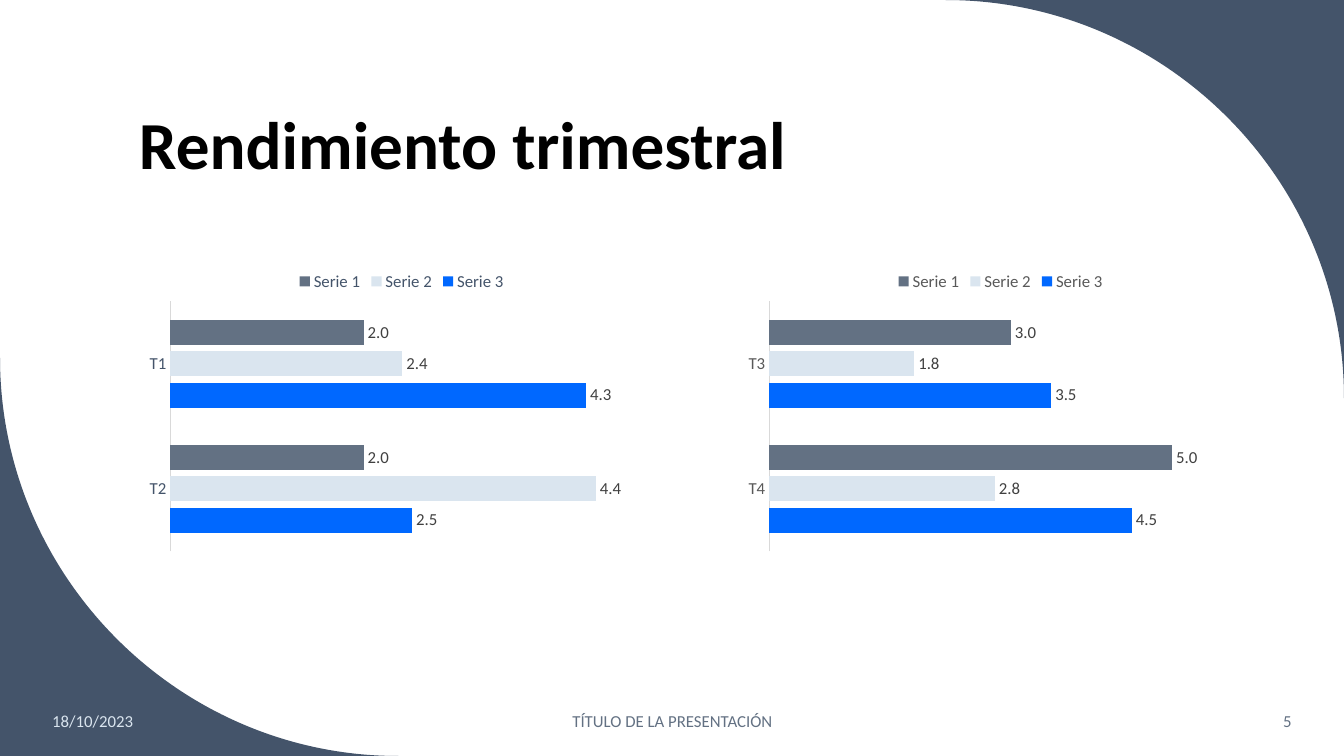
from lxml.etree import SubElement
from pptx import Presentation
from pptx.chart.data import CategoryChartData
from pptx.dml.color import RGBColor
from pptx.enum.chart import XL_CHART_TYPE as ChartType
from pptx.enum.chart import XL_LABEL_POSITION as LabelPosition
from pptx.enum.chart import XL_LEGEND_POSITION as LegendPosition
from pptx.enum.chart import XL_TICK_MARK as TickMark
from pptx.enum.text import MSO_ANCHOR as Anchor
from pptx.enum.text import PP_ALIGN as Align
from pptx.oxml.ns import qn
from pptx.util import Inches, Pt

FONT = "Calibri"
NAVY, SLATE, PALE, BLUE = "44546A", "637183", "DAE5EF", "0068FF"
RADIUS = 3.95
ARC_PULL = 0.55


def color(value):
    return RGBColor.from_string(value)


def style_font(font, size, value, bold=None):
    font.name = FONT
    font.size = Pt(size)
    font.bold = bold
    font.color.rgb = color(value)


def bend_last_segment(shape):
    corner, start, end = [(int(point.get("x")), int(point.get("y")))
                          for point in shape.element.iter(qn("a:pt"))]
    segment = list(shape.element.iter(qn("a:lnTo")))[-1]
    curve = segment.makeelement(qn("a:cubicBezTo"))
    controls = [[round(a + ARC_PULL * (b - a)) for a, b in zip(tip, corner)]
                for tip in (start, end)]
    for x, y in (*controls, end):
        SubElement(curve, qn("a:pt"), x=str(x), y=str(y))
    segment.getparent().replace(segment, curve)


def add_corner(slide, x, y, direction):
    reach = direction * RADIUS
    builder = slide.shapes.build_freeform(Inches(x), Inches(y), scale=1.0)
    builder.add_line_segments([(Inches(x - reach), Inches(y)),
                               (Inches(x), Inches(y + reach))], close=True)
    shape = builder.convert_to_shape()
    bend_last_segment(shape)
    shape.shadow.inherit = False
    shape.fill.solid()
    shape.fill.fore_color.rgb = color(NAVY)
    shape.line.fill.background()


def add_text(slide, text, box, size, value, align=Align.LEFT,
             anchor=Anchor.MIDDLE, bold=None, spacing=None):
    frame = slide.shapes.add_textbox(*map(Inches, box)).text_frame
    frame.word_wrap = True
    frame.vertical_anchor = anchor
    paragraph = frame.paragraphs[0]
    paragraph.alignment = align
    paragraph.line_spacing = spacing
    run = paragraph.add_run()
    run.text = text
    style_font(run.font, size, value, bold)


def add_quarter_chart(slide, left, quarters, values, maximum, text_color):
    data = CategoryChartData(number_format="#,##0.0")
    data.categories = quarters
    for name, numbers in values.items():
        data.add_series(name, numbers)
    box = map(Inches, (left, 2.58, 5.21, 2.95))
    chart = slide.shapes.add_chart(ChartType.BAR_CLUSTERED, *box, data).chart
    style_font(chart.font, 10, "000000")
    chart.has_title = False
    chart.has_legend = True
    chart.legend.position = LegendPosition.TOP
    chart.legend.include_in_layout = False
    style_font(chart.legend.font, 12, text_color)

    category_axis = chart.category_axis
    category_axis.major_tick_mark = TickMark.NONE
    category_axis.minor_tick_mark = TickMark.NONE
    category_axis.format.line.color.rgb = color("D9D9D9")
    category_axis.format.line.width = Pt(0.75)
    style_font(category_axis.tick_labels.font, 12, text_color)
    value_axis = chart.value_axis
    value_axis.minimum_scale = 0
    value_axis.maximum_scale = maximum
    value_axis.has_major_gridlines = False
    value_axis.visible = False

    plot = chart.plots[0]
    plot.vary_by_categories = False
    plot.gap_width = 150
    plot.overlap = -25
    for series, fill in zip(plot.series, (BLUE, PALE, SLATE)):
        series.format.fill.solid()
        series.format.fill.fore_color.rgb = color(fill)
        series.invert_if_negative = False
        labels = series.data_labels
        labels.show_value = True
        labels.number_format = "#,##0.0"
        labels.number_format_is_linked = False
        labels.position = LabelPosition.OUTSIDE_END
        style_font(labels.font, 12, "404040")


def main():
    presentation = Presentation()
    presentation.slide_width = Inches(13.33)
    presentation.slide_height = Inches(7.5)
    slide = presentation.slides.add_slide(presentation.slide_layouts[6])
    slide.background.fill.solid()
    slide.background.fill.fore_color.rgb = color("FFFFFF")

    add_corner(slide, 13.33, 0, 1)
    add_corner(slide, 0, 7.5, -1)
    add_text(slide, "Rendimiento trimestral", (1.28, 0.42, 10.69, 1.45),
             48, "000000", anchor=Anchor.BOTTOM, bold=True, spacing=0.9)

    first_half = {"Serie 3": (2.5, 4.3), "Serie 2": (4.4, 2.4), "Serie 1": (2, 2)}
    second_half = {"Serie 3": (4.5, 3.5), "Serie 2": (2.8, 1.8), "Serie 1": (5, 3)}
    add_quarter_chart(slide, 1.38, ("T2", "T1"), first_half, 5, NAVY)
    add_quarter_chart(slide, 7.32, ("T4", "T3"), second_half, 6, "595959")

    add_text(slide, "18/10/2023", (0.42, 6.95, 1.86, 0.4), 12, PALE)
    add_text(slide, "TÍTULO DE LA PRESENTACIÓN", (4.42, 6.95, 4.5, 0.4),
             12, SLATE, Align.CENTER)
    add_text(slide, "5", (11.1, 6.95, 1.81, 0.4), 12, SLATE, Align.RIGHT)
    presentation.save("out.pptx")


if __name__ == "__main__":
    main()
